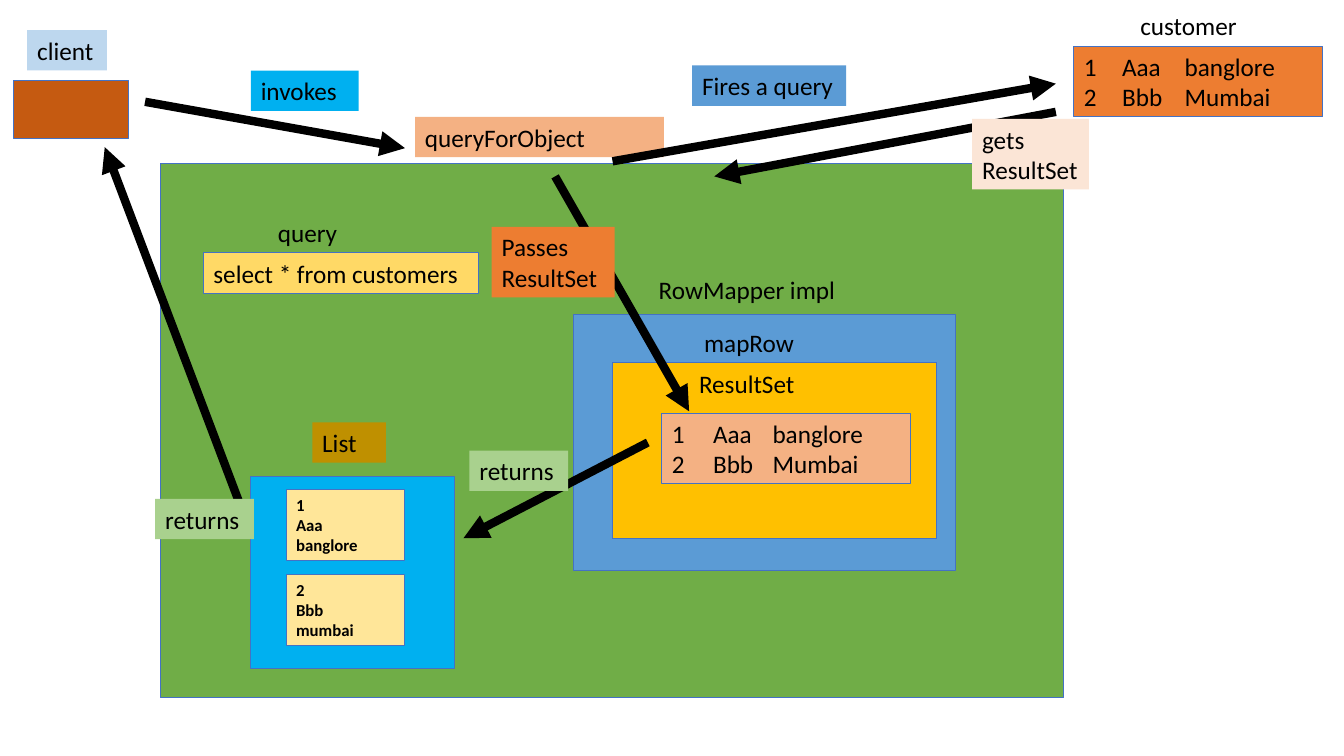
import pptx
import pptx.util
import pptx.dml.color
import pptx.enum.shapes
import pptx.oxml
import pptx.oxml.ns
from lxml import etree

RGB = pptx.dml.color.RGBColor
BLACK = RGB(0x00, 0x00, 0x00)
OUTLINE = RGB(0x44, 0x72, 0xC4)
ORANGE = RGB(0xED, 0x7D, 0x31)
RUST = RGB(0xC5, 0x5A, 0x11)
PEACH = RGB(0xF4, 0xB1, 0x83)
BLUSH = RGB(0xFB, 0xE5, 0xD6)
GREEN = RGB(0x70, 0xAD, 0x47)
LIGHT_GREEN = RGB(0xA9, 0xD1, 0x8E)
BLUE = RGB(0x5B, 0x9B, 0xD5)
PALE_BLUE = RGB(0xBD, 0xD7, 0xEE)
CYAN = RGB(0x00, 0xB0, 0xF0)
GOLD = RGB(0xFF, 0xC0, 0x00)
DARK_GOLD = RGB(0xBF, 0x90, 0x00)
YELLOW = RGB(0xFF, 0xD9, 0x66)
CREAM = RGB(0xFF, 0xE6, 0x99)

# Grid: cells of a tenth of an inch
CELL = 0.1
COLS, ROWS = 133.4, 75
ONE_LINE, TWO_LINES = 4, 7  # box heights in rows

# Filled, outlined boxes: left, top, width, height, fill
PANELS = [
    (15.9, 16.2, 89.7, 53, GREEN),
    (56.9, 31.2, 37.9, 25.4, BLUE),
    (60.8, 36, 32.2, 17.4, GOLD),
    (24.9, 47.3, 20.2, 19, CYAN),
    (1.3, 8, 11.5, 5.7, RUST),
]

# Names without a box: left, top, width, text
NAMES = [
    (112.2, 0.5, 11.8, "customer"),
    (26.6, 21.1, 8.5, "query"),
    (64.4, 26.7, 20.7, "RowMapper impl"),
    (68.9, 32, 11.5, "mapRow"),
    (68.4, 36, 12.4, "ResultSet"),
]

# Rows of data
CUSTOMERS = ["Aaa\tbanglore", "Bbb\tMumbai"]
RESULT_ROWS = ["1\tAaa\tbanglore", "2\tBbb\tMumbai"]
RECORDS = [["1", "Aaa", "banglore"], ["2", "Bbb", "mumbai"]]
RECORD_TOP, RECORD_PITCH = 48.6, 8.4

# Arrows: start column, start row, end column, end row
ARROWS = [
    (64.3, 43.9, 46, 53.4),
    (24.6, 52.1, 10.4, 14.6),
    (14.4, 10.1, 40.2, 14.7),
    (60.8, 16, 104.8, 8.3),
    (104.8, 11.1, 70.9, 17.5),
    (55.1, 17.5, 68.4, 40.8),
]

# Coloured labels: left, top, width, height, fill, text
METHOD = (41.2, 11.6, 24.7, ONE_LINE, PEACH, "queryForObject")
LABELS = [
    (31, 41.9, 7.3, ONE_LINE, DARK_GOLD, "List"),
    (46.6, 44.7, 9.8, ONE_LINE, LIGHT_GREEN, "returns"),
    (15.4, 49.5, 9.8, ONE_LINE, LIGHT_GREEN, "returns"),
    (2.7, 3, 7.9, ONE_LINE, PALE_BLUE, "client"),
    (24.9, 7, 10.7, ONE_LINE, CYAN, "invokes"),
    (68.7, 6.5, 15.3, ONE_LINE, BLUE, "Fires a query"),
    (96.5, 11.8, 11.6, TWO_LINES, BLUSH, "gets ResultSet"),
    (48.8, 22.5, 12.2, TWO_LINES, ORANGE, "Passes ResultSet"),
]

prs = pptx.Presentation()


def grid(n):
    return pptx.util.Inches(round(n * CELL, 2))


prs.slide_width, prs.slide_height = grid(COLS), grid(ROWS)
s = prs.slides.add_slide(prs.slide_layouts[6])


def sub(parent, tag, **attrs):
    el = etree.SubElement(parent, pptx.oxml.ns.qn(tag))
    for key, value in attrs.items():
        el.set(key, str(value))
    return el


def write(tf, lines, size=18, bold=False, tabs=(), numbered=False):
    tf.word_wrap = True
    tf.vertical_anchor = pptx.enum.text.MSO_ANCHOR.TOP
    for i, text in enumerate(lines):
        p = tf.paragraphs[0] if i == 0 else tf.add_paragraph()
        p.alignment = pptx.enum.text.PP_ALIGN.LEFT
        pPr = p._p.get_or_add_pPr()
        if numbered:
            indent = grid(3.8)
            pPr.set("marL", str(indent))
            pPr.set("indent", str(-indent))
            sub(pPr, "a:buAutoNum", type="arabicPlain")
        if tabs:
            stops = sub(pPr, "a:tabLst")
            for stop in tabs:
                sub(stops, "a:tab", pos=grid(stop), algn="l")
        r = p.add_run()
        r.text = text
        r.font.name, r.font.size = "Calibri", pptx.util.Pt(size)
        r.font.bold, r.font.color.rgb = bold, BLACK


def box(left, top, width, height, fill, lines=(), outlined=True, **fmt):
    at = [grid(n) for n in (left, top, width, height)]
    if fill is None:
        sp = s.shapes.add_textbox(*at)
    else:
        sp = s.shapes.add_shape(pptx.enum.shapes.MSO_SHAPE.RECTANGLE, *at)
        sp.shadow.inherit = False
        sp.fill.solid()
        sp.fill.fore_color.rgb = fill
        if outlined:
            sp.line.color.rgb = OUTLINE
            sp.line.width = pptx.util.Pt(0.75)
        else:
            sp.line.fill.background()
    if lines:
        write(sp.text_frame, lines, **fmt)


def arrow(*ends):
    line = s.shapes.add_connector(pptx.enum.shapes.MSO_CONNECTOR.STRAIGHT,
                                  *[grid(n) for n in ends])
    line.line.color.rgb = BLACK
    line.line.width = pptx.util.Pt(6)
    sub(line.line._get_or_add_ln(), "a:tailEnd", type="triangle")
    sub(line._element.spPr, "a:effectLst")


# Panels and the method that owns them
for panel in PANELS:
    box(*panel)
*method, method_name = METHOD
box(*method, [method_name], outlined=False)

# Boxes holding data
box(106.6, 4.6, 24.7, TWO_LINES, ORANGE, CUSTOMERS, tabs=[10], numbered=True)
box(20.2, 25.1, 27.3, ONE_LINE, YELLOW, ["select * from customers"])
box(65.7, 41, 24.7, TWO_LINES, PEACH, RESULT_ROWS, tabs=[4.1, 10])
for i, record in enumerate(RECORDS):
    box(28.4, RECORD_TOP + i * RECORD_PITCH, 11.8, TWO_LINES, CREAM, record,
        size=12, bold=True)
for left, top, width, name in NAMES:
    box(left, top, width, ONE_LINE, None, [name])

# Arrows, then the labels that lie over them
for ends in ARROWS:
    arrow(*ends)
for *place, label in LABELS:
    box(*place, [label], outlined=False)

prs.save("out.pptx")
